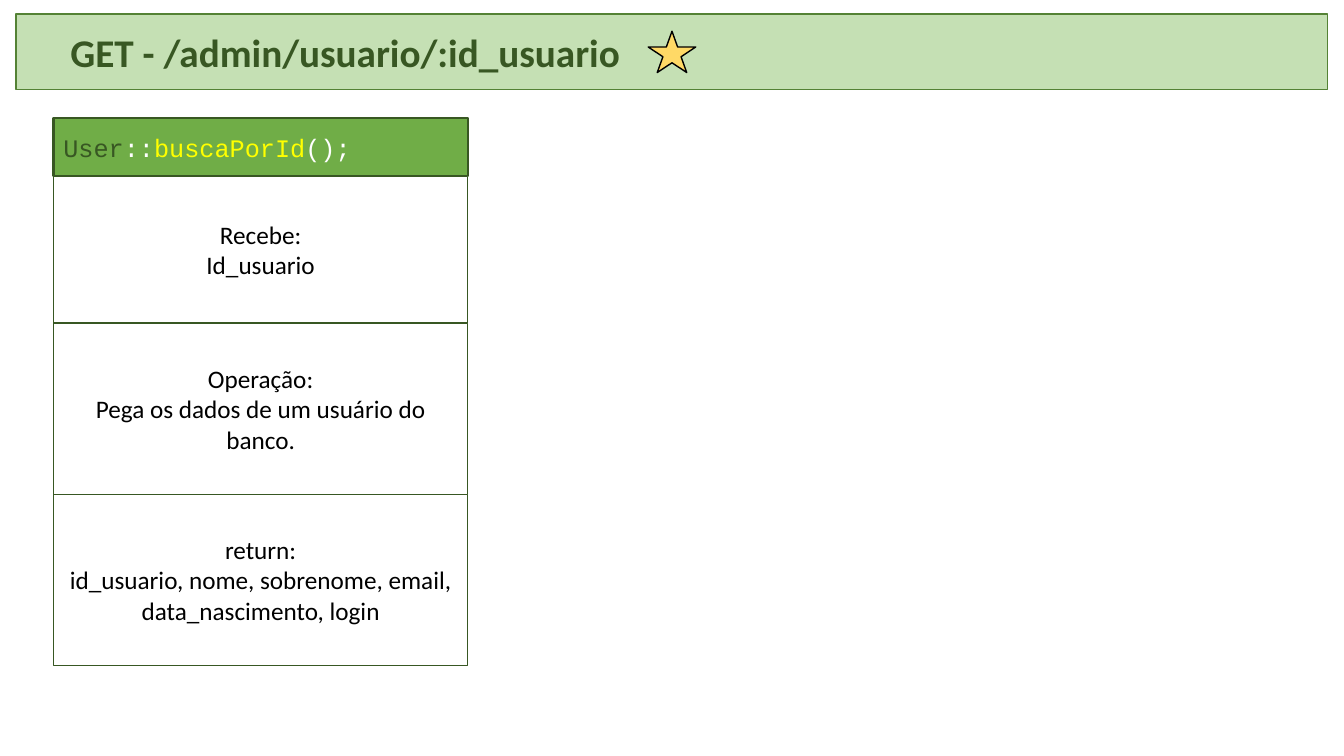
"""Builds the slide that documents the GET /admin/usuario/:id_usuario route."""
from dataclasses import dataclass

import pptx
import pptx.dml.color
import pptx.enum.shapes
import pptx.enum.text
import pptx.util

Pt = pptx.util.Pt
RGB = pptx.dml.color.RGBColor.from_string
MSO = pptx.enum.shapes.MSO_SHAPE
ALIGN = pptx.enum.text.PP_ALIGN
ANCHOR = pptx.enum.text.MSO_ANCHOR


@dataclass(frozen=True)
class Theme:
    """Colours, fonts and type sizes."""
    dark: str = "385723"
    mid: str = "548235"
    green: str = "70AD47"
    pale: str = "C5E0B4"
    gold: str = "FFD966"
    yellow: str = "FFFF00"
    white: str = "FFFFFF"
    black: str = "000000"
    body: str = "Calibri"
    code: str = "Courier New"
    title_pt: float = 28
    text_pt: float = 18


T = Theme()


@dataclass(frozen=True)
class Run:
    """A stretch of text in one style."""
    text: str
    color: str = T.black
    font: str = T.body
    size: float = T.text_pt
    bold: bool = False


@dataclass(frozen=True)
class Box:
    """A filled shape with a place in points and optional paragraphs."""
    left: float
    top: float
    width: float
    height: float
    fill: str
    line: str
    line_pt: float = 1
    kind: MSO = MSO.RECTANGLE
    paras: tuple[tuple[Run, ...], ...] = ()
    align: ALIGN = ALIGN.LEFT
    inset: float = 7.2


@dataclass(frozen=True)
class Section:
    """One part of the method card."""
    height: float
    label: str
    detail: str


def add_box(slide: pptx.slide.Slide, box: Box) -> None:
    """Draws one box and its text."""
    sp = slide.shapes.add_shape(
        box.kind, Pt(box.left), Pt(box.top), Pt(box.width), Pt(box.height))
    sp.shadow.inherit = False
    sp.fill.solid()
    sp.fill.fore_color.rgb = RGB(box.fill)
    sp.line.color.rgb = RGB(box.line)
    sp.line.width = Pt(box.line_pt)
    tf = sp.text_frame
    tf.word_wrap = True
    tf.vertical_anchor = ANCHOR.MIDDLE
    tf.margin_left = Pt(box.inset)
    for i, runs in enumerate(box.paras):
        p = tf.add_paragraph() if i else tf.paragraphs[0]
        p.alignment = box.align
        for run in runs:
            r = p.add_run()
            r.text = run.text
            r.font.name = run.font
            r.font.size = Pt(run.size)
            r.font.bold = run.bold
            r.font.color.rgb = RGB(run.color)


def add_card(slide: pptx.slide.Slide, left: float, top: float, width: float,
             signature: tuple[Run, ...], sections: tuple[Section, ...]) -> None:
    """Draws the method signature with its sections stacked below."""
    header = 41.5
    add_box(slide, Box(left, top, width, header, T.green, T.dark, 1.5,
                       paras=(signature,)))
    top += header
    for s in sections:
        add_box(slide, Box(left, top, width, s.height, T.white, T.dark,
                           paras=((Run(s.label),), (Run(s.detail),)),
                           align=ALIGN.CENTER))
        top += s.height


SIGNATURE = (
    Run("User", T.dark, T.code),
    Run("::", T.white, T.code),
    Run("buscaPorId", T.yellow, T.code),
    Run("();", T.white, T.code),
)
SECTIONS = (
    Section(105, "Recebe:", "Id_usuario"),
    Section(122.2, "Operação:", "Pega os dados de um usuário do banco."),
    Section(122.2, "return:",
            "id_usuario, nome, sobrenome, email, data_nascimento, login"),
)
ROUTE = Run("GET - /admin/usuario/:id_usuario", T.dark, size=T.title_pt, bold=True)

prs = pptx.Presentation()
prs.slide_width, prs.slide_height = Pt(960), Pt(540)
slide = prs.slides.add_slide(prs.slide_layouts[6])
add_box(slide, Box(11.5, 10, 936.7, 54, T.pale, T.mid,
                   paras=((ROUTE,),), inset=38.8))
add_box(slide, Box(463, 22.3, 34, 29.5, T.gold, T.black, kind=MSO.STAR_5_POINT))
add_card(slide, 38.2, 84.4, 296, SIGNATURE, SECTIONS)
prs.save("out.pptx")
